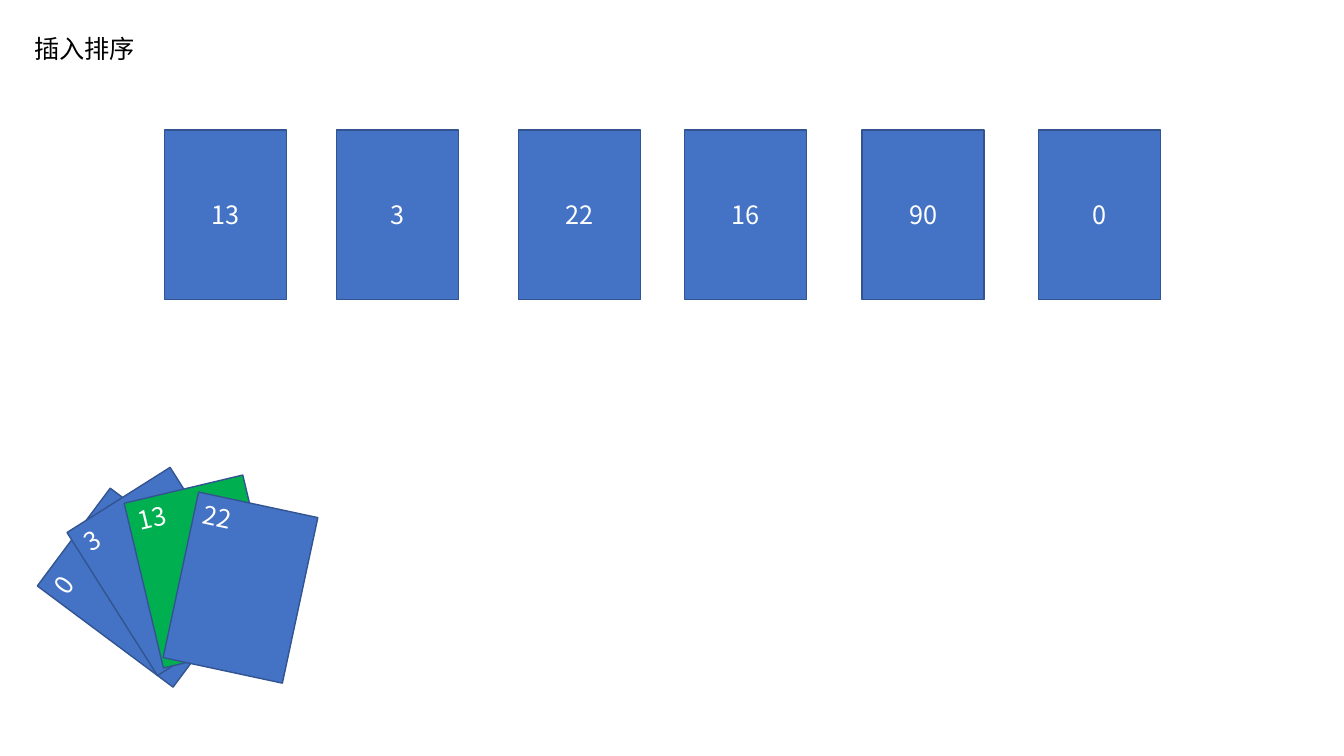
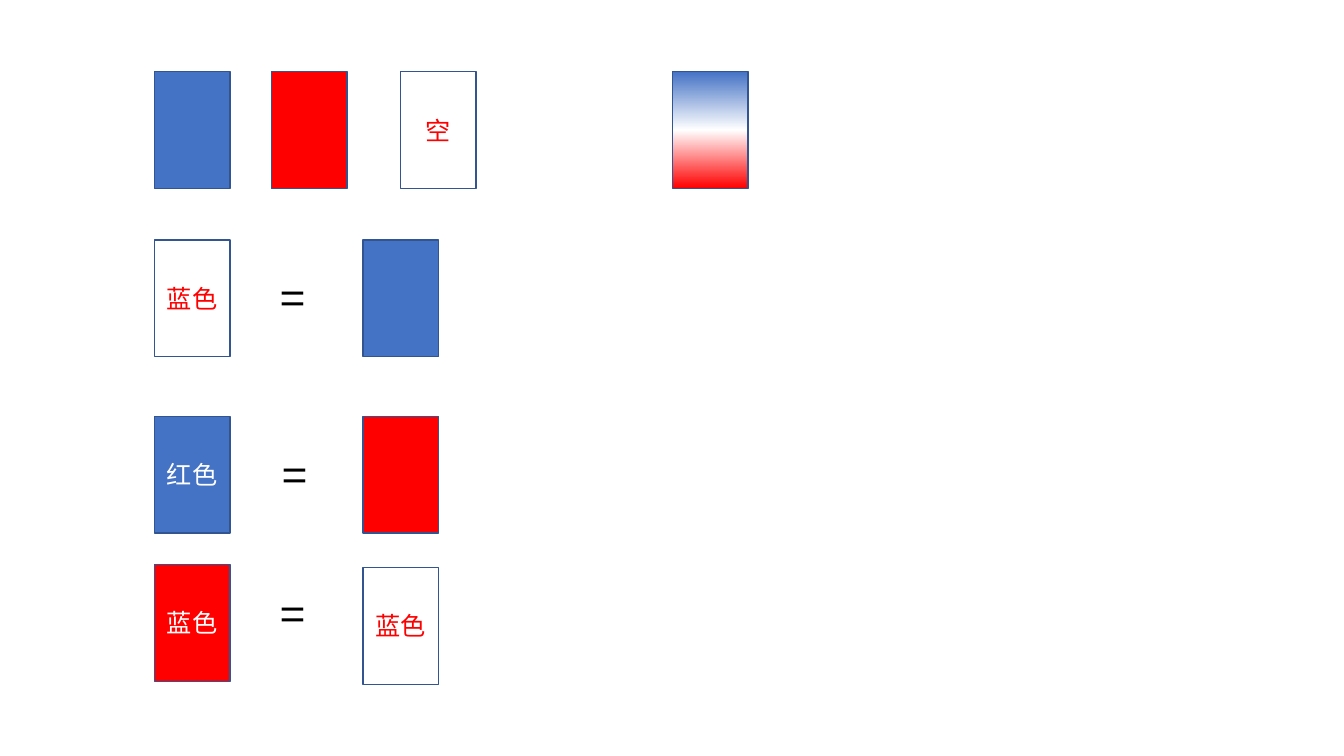
from copy import deepcopy

from pptx import Presentation
from pptx.dml.color import RGBColor
from pptx.enum.shapes import MSO_SHAPE
from pptx.enum.text import MSO_ANCHOR, MSO_AUTO_SIZE, PP_ALIGN
from pptx.oxml.ns import qn
from pptx.util import Inches, Pt

RECTANGLE = MSO_SHAPE.RECTANGLE
TOP, MIDDLE = MSO_ANCHOR.TOP, MSO_ANCHOR.MIDDLE
LEFT, CENTER = PP_ALIGN.LEFT, PP_ALIGN.CENTER
FIT_SHAPE = MSO_AUTO_SIZE.SHAPE_TO_FIT_TEXT

FONT = "Noto Sans CJK SC"
BLUE, RED, GREEN = "4472C4", "FF0000", "00B050"
WHITE, BLACK, OUTLINE = "FFFFFF", "000000", "325491"


def color(value):
    """Turn a hex string into a colour."""
    return RGBColor.from_string(value)


class Deck:
    """Holds the shared style and the current slide."""

    def __init__(self):
        """Start an empty widescreen presentation."""
        self.presentation = Presentation()
        self.presentation.slide_width = Inches(13.33)
        self.presentation.slide_height = Inches(7.5)
        self.slide = None

    def add_slide(self):
        """Add a blank slide and make it current."""
        self.slide = self.presentation.slides.add_slide(
            self.presentation.slide_layouts[6])

    def set_text(self, text_frame, text, size, ink, align=LEFT):
        """Set one paragraph of text and format it."""
        text_frame.text = text
        paragraph = text_frame.paragraphs[0]
        paragraph.alignment = align
        for run in paragraph.runs:
            run.font.size = Pt(size)
            run.font.name = FONT
            run.font.color.rgb = color(ink)
            properties = run._r.get_or_add_rPr()
            east_asian = properties.makeelement(qn("a:ea"), {"typeface": FONT})
            properties.append(east_asian)

    def label(self, left, top, width, height, text, size=18):
        """Add a black text box that fits its text."""
        box = self.slide.shapes.add_textbox(
            Inches(left), Inches(top), Inches(width), Inches(height))
        box.text_frame.word_wrap = False
        box.text_frame.auto_size = FIT_SHAPE
        self.set_text(box.text_frame, text, size, BLACK)

    def card(self, left, top, size, text="", fill=BLUE, ink=WHITE, rotation=0,
             anchor=MIDDLE, align=CENTER):
        """Add an outlined card and return its shape."""
        width, height = size
        shape = self.slide.shapes.add_shape(
            RECTANGLE, Inches(left), Inches(top), Inches(width), Inches(height))
        shape.shadow.inherit = False
        shape.rotation = rotation
        shape.fill.solid()
        shape.fill.fore_color.rgb = color(fill)
        shape.line.color.rgb = color(OUTLINE)
        shape.line.width = Pt(1)
        shape.text_frame.vertical_anchor = anchor
        if text:
            self.set_text(shape.text_frame, text, 18, ink, align)
        return shape

    def gradient_card(self, left, top, size, colors):
        """Add a card whose three colours run from bottom to top."""
        fill = self.card(left, top, size).fill
        fill.gradient()
        fill.gradient_angle = 90
        first_stop = fill.gradient_stops[0]._gs
        first_stop.addnext(deepcopy(first_stop))
        for index, (stop, value) in enumerate(zip(fill.gradient_stops, colors)):
            stop.position = index / 2
            stop.color.rgb = color(value)


def insertion_sort_slide(deck):
    """Show the row of dealt cards and the sorted hand."""
    card_size = (1.21, 1.68)
    dealt_cards = [(1.63, "13"), (3.34, "3"), (5.14, "22"),
                   (6.79, "16"), (8.55, "90"), (10.3, "0")]
    hand = [(0.8, 4.99, "0", BLUE, 306.7), (1.02, 4.83, "3", BLUE, 327.7),
            (1.41, 4.83, "13", GREEN, 346.6), (1.78, 4.99, "22", BLUE, 12.1)]
    deck.add_slide()
    deck.label(0.24, 0.28, 1.21, 0.4, "插入排序")
    for left, number in dealt_cards:
        deck.card(left, 1.29, card_size, number)
    for left, top, number, fill, rotation in hand:
        deck.card(left, top, card_size, number, fill, rotation=rotation,
                  anchor=TOP, align=LEFT)


def color_rules_slide(deck):
    """Show the card colours and the three equations between cards."""
    card_size = (0.75, 1.16)
    legend = [(1.53, "", BLUE, WHITE), (2.69, "", RED, WHITE),
              (3.97, "空", WHITE, RED)]
    blank_blue = ("蓝色", WHITE, RED)
    plain_blue, plain_red = ("", BLUE), ("", RED)
    equations = [
        (2.38, blank_blue, 2.68, 2.64, 2.38, plain_blue),
        (4.13, ("红色", BLUE), 2.7, 4.39, 4.13, plain_red),
        (5.6, ("蓝色", RED), 2.68, 5.77, 5.63, blank_blue),
    ]
    deck.add_slide()
    for left, *look in legend:
        deck.card(left, 0.71, card_size, *look)
    deck.gradient_card(6.67, 0.71, card_size, [RED, WHITE, BLUE])
    for top, card, sign_left, sign_top, result_top, result in equations:
        deck.card(1.53, top, card_size, *card)
        deck.label(sign_left, sign_top, 0.5, 0.64, "=", 32)
        deck.card(3.6, result_top, card_size, *result)


def main():
    """Build both slides and save them."""
    deck = Deck()
    insertion_sort_slide(deck)
    color_rules_slide(deck)
    deck.presentation.save("out.pptx")


main()
